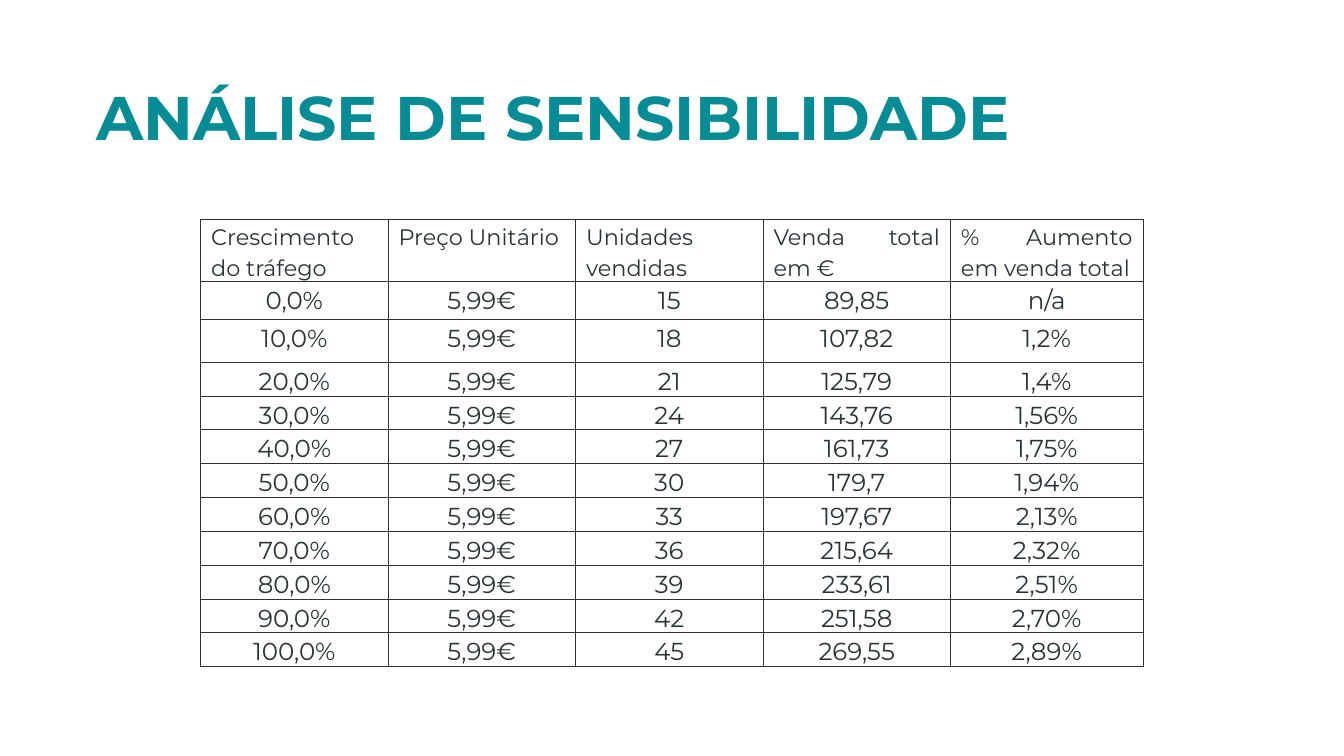
from typing import NamedTuple

from lxml.etree import SubElement
from pptx import Presentation
from pptx.dml.color import RGBColor
from pptx.enum.text import MSO_ANCHOR as Anchor, PP_ALIGN as Align
from pptx.oxml.ns import qn
from pptx.table import _Cell as Cell
from pptx.text.text import _Paragraph as Paragraph
from pptx.util import Cm, Pt

TEAL = RGBColor(0x06, 0x8C, 0x95)
INK = RGBColor(0x2A, 0x34, 0x38)
FONT = "Montserrat"
UNIT_PRICE = "5,99€"


class TextStyle(NamedTuple):
    size: int
    color: RGBColor
    align: Align
    bold: bool = False


class Scenario(NamedTuple):
    growth: str
    units: int
    sales: str
    increase: str


TITLE = TextStyle(88, TEAL, Align.LEFT, bold=True)
HEADING = TextStyle(32, INK, Align.JUSTIFY)
VALUE = TextStyle(35, INK, Align.CENTER)

HEADINGS = (
    "Crescimento do tráfego",
    "Preço Unitário",
    "Unidades vendidas",
    "Venda total em €",
    "% Aumento em venda total",
)
SCENARIOS = (
    Scenario("0,0%", 15, "89,85", "n/a"),
    Scenario("10,0%", 18, "107,82", "1,2%"),
    Scenario("20,0%", 21, "125,79", "1,4%"),
    Scenario("30,0%", 24, "143,76", "1,56%"),
    Scenario("40,0%", 27, "161,73", "1,75%"),
    Scenario("50,0%", 30, "179,7", "1,94%"),
    Scenario("60,0%", 33, "197,67", "2,13%"),
    Scenario("70,0%", 36, "215,64", "2,32%"),
    Scenario("80,0%", 39, "233,61", "2,51%"),
    Scenario("90,0%", 42, "251,58", "2,70%"),
    Scenario("100,0%", 45, "269,55", "2,89%"),
)
COLUMN_WIDTHS = [Cm(9.45)] * 4 + [Cm(9.7)]
ROW_HEIGHTS = [Cm(3.02), Cm(1.9), Cm(2.16)] + [Cm(1.55)] * 9


def write(paragraph: Paragraph, text: str, style: TextStyle) -> None:
    paragraph.alignment = style.align
    run = paragraph.add_run()
    run.text = text
    run.font.name = FONT
    run.font.size = Pt(style.size)
    run.font.bold = style.bold
    run.font.color.rgb = style.color


def draw_borders(cell: Cell) -> None:
    properties = cell._tc.get_or_add_tcPr()
    for side in ("a:lnL", "a:lnR", "a:lnT", "a:lnB"):
        line = SubElement(properties, qn(side), w=str(Pt(1)))
        fill = SubElement(line, qn("a:solidFill"))
        SubElement(fill, qn("a:srgbClr"), val=str(INK))


def fill_cell(cell: Cell, text: str, style: TextStyle) -> None:
    cell.margin_left = cell.margin_right = Cm(0.53)
    cell.margin_top = cell.margin_bottom = 0
    draw_borders(cell)
    cell.fill.background()
    paragraph = cell.text_frame.paragraphs[0]
    paragraph.line_spacing = 1.15
    paragraph.space_after = Pt(12)
    write(paragraph, text, style)


def add_title(slide, text: str) -> None:
    frame = slide.shapes.add_textbox(Cm(4.7), Cm(2.64), Cm(58.34), Cm(6.35)).text_frame
    frame.word_wrap = True
    frame.vertical_anchor = Anchor.MIDDLE
    frame.margin_left = frame.margin_right = Cm(0.15)
    frame.margin_top = frame.margin_bottom = Cm(0.15)
    write(frame.paragraphs[0], text, TITLE)


def add_sensitivity_table(slide) -> None:
    table = slide.shapes.add_table(
        len(ROW_HEIGHTS), len(COLUMN_WIDTHS),
        Cm(10.11), Cm(11.07), sum(COLUMN_WIDTHS), sum(ROW_HEIGHTS),
    ).table
    table.first_row = table.horz_banding = False
    for column, width in zip(table.columns, COLUMN_WIDTHS):
        column.width = width
    for row, height in zip(table.rows, ROW_HEIGHTS):
        row.height = height

    for cell, heading in zip(table.rows[0].cells, HEADINGS):
        fill_cell(cell, heading, HEADING)
    for index, scenario in enumerate(SCENARIOS, start=1):
        values = (scenario.growth, UNIT_PRICE, str(scenario.units),
                  scenario.sales, scenario.increase)
        for cell, value in zip(table.rows[index].cells, values):
            fill_cell(cell, value, VALUE)


def main() -> None:
    deck = Presentation()
    deck.slide_width, deck.slide_height = Cm(67.74), Cm(38.1)
    slide = deck.slides.add_slide(deck.slide_layouts[6])
    add_title(slide, "ANÁLISE DE SENSIBILIDADE")
    add_sensitivity_table(slide)
    deck.save("out.pptx")


if __name__ == "__main__":
    main()
